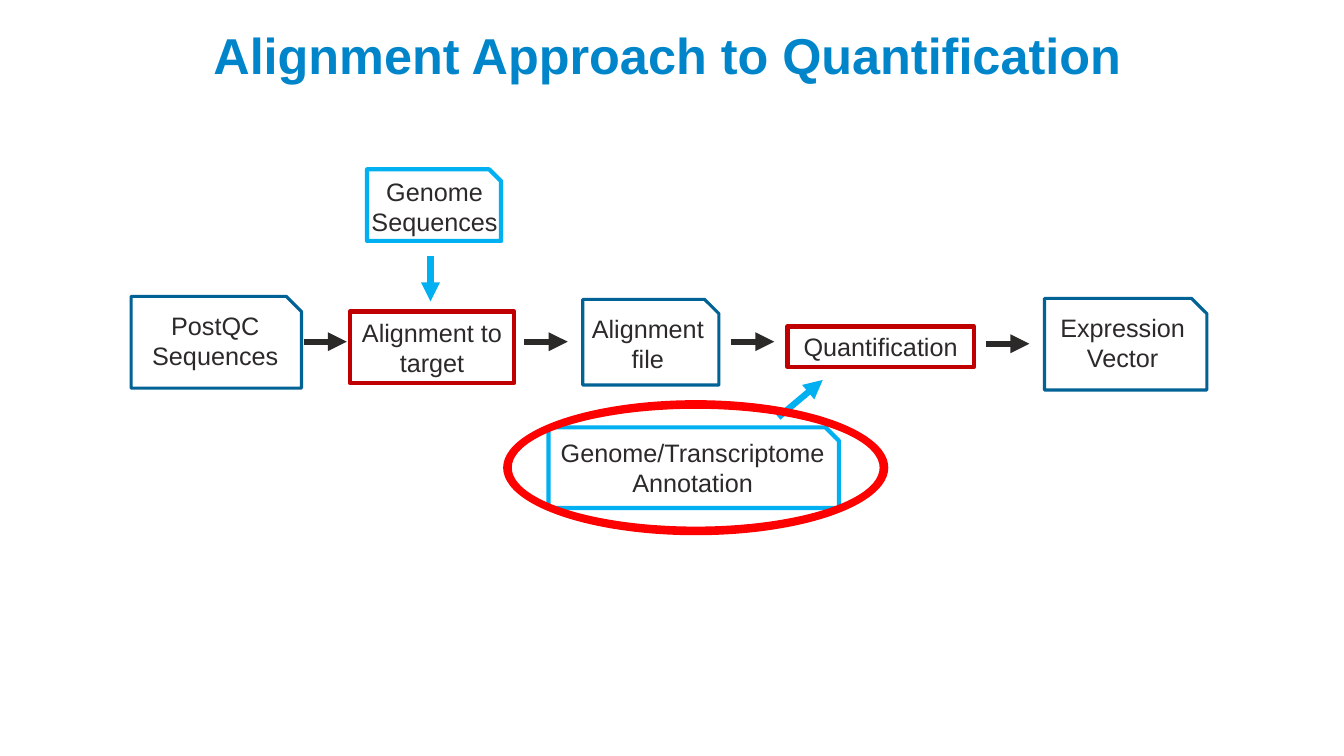
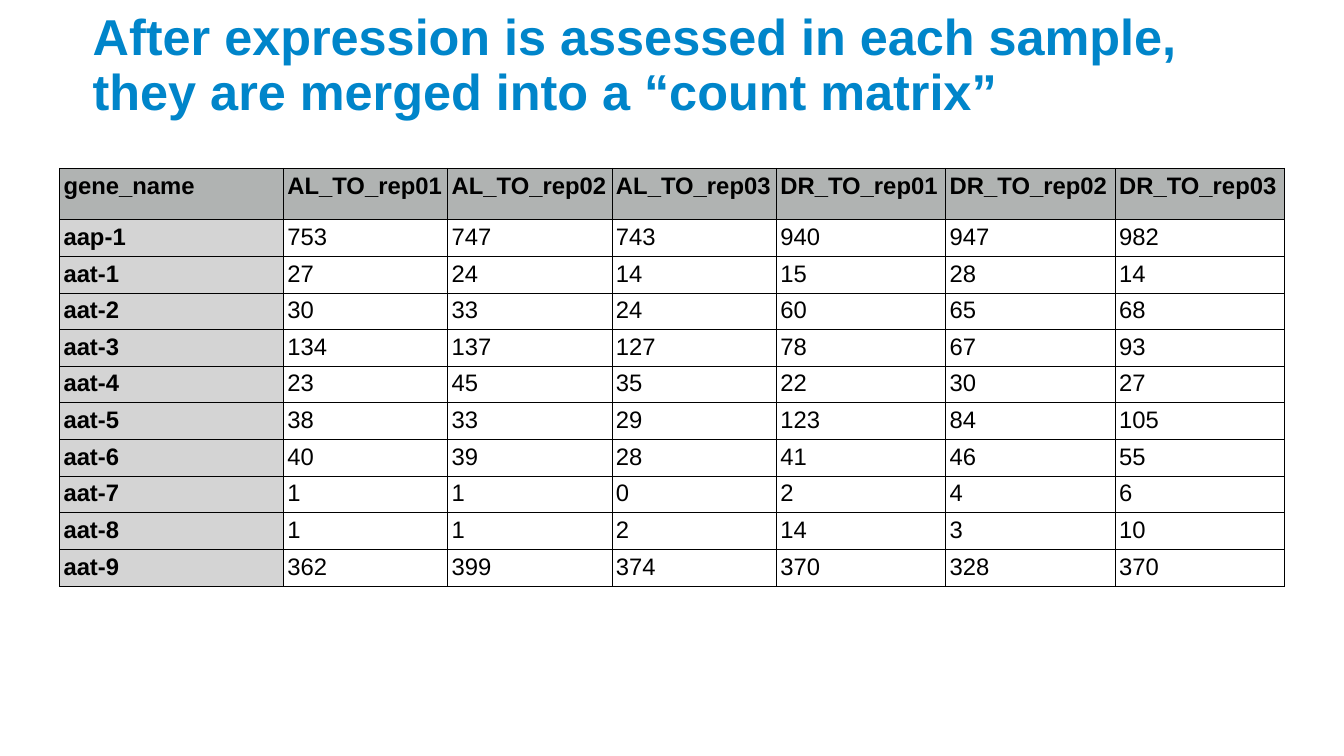
from lxml.etree import SubElement
from pptx import Presentation
from pptx.dml.color import RGBColor
from pptx.enum.shapes import MSO_CONNECTOR as CONNECTOR, MSO_SHAPE as SHAPE
from pptx.enum.text import MSO_ANCHOR as ANCHOR, PP_ALIGN as ALIGN
from pptx.oxml.ns import qn
from pptx.util import Inches, Pt

FONT = "Arial"
TITLE_BLUE = "0085CA"
DARK = "2C2A29"
NAVY = "006295"
SKY = "00B0F0"
CRIMSON = "C00000"
RED = "FF0000"
WHITE = "FFFFFF"
BLACK = "000000"
HEADER_GRAY = "B0B3B2"
GENE_GRAY = "D4D4D4"


def color(value):
    return RGBColor.from_string(value)


def write(frame, text, size=18, fill=DARK, bold=False, align=ALIGN.CENTER,
          anchor=ANCHOR.TOP, spacing=None):
    frame.word_wrap = True
    frame.vertical_anchor = anchor
    paragraph = frame.paragraphs[0]
    paragraph.alignment = align
    paragraph.line_spacing = spacing
    run = paragraph.add_run()
    run.text = text
    run.font.name = FONT
    run.font.size = Pt(size)
    run.font.bold = bold
    run.font.color.rgb = color(fill)


presentation = Presentation()
presentation.slide_width = Inches(13.33)
presentation.slide_height = Inches(7.5)

titles = [
    ("Alignment Approach to Quantification", 0.02, 0.87, ALIGN.CENTER, 1.0),
    ("After expression is assessed in each sample, they are merged into a “count matrix”",
     0, 1.25, ALIGN.LEFT, 0.9),
]
for text, top, height, align, spacing in titles:
    slide = presentation.slides.add_slide(presentation.slide_layouts[6])
    title = slide.shapes.add_textbox(Inches(0.92), Inches(top), Inches(11.5), Inches(height))
    title.text_frame.margin_left = 0
    write(title.text_frame, text, size=36, fill=TITLE_BLUE, bold=True,
          align=align, anchor=ANCHOR.BOTTOM, spacing=spacing)

workflow_slide, matrix_slide = presentation.slides

files = [
    ("PostQC Sequences", NAVY, 2.25, (1.3, 2.94, 1.69, 0.91), (1.26, 3.03, 1.75, 0.71)),
    ("Genome Sequences", SKY, 3, (3.64, 1.68, 1.33, 0.71), (3.58, 1.7, 1.46, 0.71)),
    ("Genome/Transcriptome Annotation", SKY, 3, (5.44, 4.24, 2.88, 0.8), (5.24, 4.29, 3.26, 0.71)),
    ("Alignment file", NAVY, 2.25, (5.78, 2.97, 1.35, 0.85), (5.75, 3.06, 1.35, 0.71)),
    ("Expression Vector", NAVY, 2.25, (10.36, 2.96, 1.61, 0.91), (10.33, 3.05, 1.61, 0.71)),
]
steps = [
    ("Alignment to target", (3.47, 3.09, 1.63, 0.71)),
    ("Quantification", (7.81, 3.24, 1.85, 0.4)),
]
arrows = [
    (DARK, 3.02, 3.39, 3.44, 3.39),
    (DARK, 5.2, 3.39, 5.63, 3.39),
    (DARK, 7.25, 3.39, 7.68, 3.39),
    (DARK, 9.78, 3.41, 10.21, 3.41),
    (SKY, 4.27, 2.54, 4.27, 2.99),
    (SKY, 7.72, 4.14, 8.16, 3.77),
]

for text, outline, weight, card_box, label_box in files:
    group = workflow_slide.shapes.add_group_shape()
    card = group.shapes.add_shape(SHAPE.SNIP_1_RECTANGLE, *map(Inches, card_box))
    card.shadow.inherit = False
    card.fill.solid()
    card.fill.fore_color.rgb = color(WHITE)
    card.line.color.rgb = color(outline)
    card.line.width = Pt(weight)
    label = group.shapes.add_textbox(*map(Inches, label_box))
    write(label.text_frame, text)

for text, box in steps:
    step = workflow_slide.shapes.add_shape(SHAPE.RECTANGLE, *map(Inches, box))
    step.shadow.inherit = False
    step.fill.solid()
    step.fill.fore_color.rgb = color(WHITE)
    step.line.color.rgb = color(CRIMSON)
    step.line.width = Pt(3)
    write(step.text_frame, text, anchor=ANCHOR.MIDDLE)

for stroke, *ends in arrows:
    arrow = workflow_slide.shapes.add_connector(CONNECTOR.STRAIGHT, *map(Inches, ends))
    arrow.line.color.rgb = color(stroke)
    arrow.line.width = Pt(4.5)
    SubElement(arrow.line._get_or_add_ln(), qn("a:tailEnd"), type="triangle")
    SubElement(arrow._element.spPr, qn("a:effectLst"))

highlight = workflow_slide.shapes.add_shape(
    SHAPE.DONUT, Inches(4.99), Inches(3.97), Inches(3.82), Inches(1.34))
highlight.adjustments[0] = 0.064
highlight.shadow.inherit = False
highlight.fill.solid()
highlight.fill.fore_color.rgb = color(RED)
highlight.line.fill.background()

samples = [f"{condition}_TO_rep0{number}" for condition in ("AL", "DR") for number in (1, 2, 3)]
counts = [
    ("aap-1", 753, 747, 743, 940, 947, 982),
    ("aat-1", 27, 24, 14, 15, 28, 14),
    ("aat-2", 30, 33, 24, 60, 65, 68),
    ("aat-3", 134, 137, 127, 78, 67, 93),
    ("aat-4", 23, 45, 35, 22, 30, 27),
    ("aat-5", 38, 33, 29, 123, 84, 105),
    ("aat-6", 40, 39, 28, 41, 46, 55),
    ("aat-7", 1, 1, 0, 2, 4, 6),
    ("aat-8", 1, 1, 2, 14, 3, 10),
    ("aat-9", 362, 399, 374, 370, 328, 370),
]
rows = [("gene_name", *samples), *counts]
widths = [2.22] + [1.63] * 3 + [1.68] * 3
heights = [0.51] + [0.32] * len(counts)

table = matrix_slide.shapes.add_table(
    len(rows), len(widths), Inches(0.59), Inches(1.67),
    Inches(sum(widths)), Inches(sum(heights))).table
table.horz_banding = False
for column, width in zip(table.columns, widths):
    column.width = Inches(width)
for row, height in zip(table.rows, heights):
    row.height = Inches(height)

for row_index, values in enumerate(rows):
    for column_index, value in enumerate(values):
        cell = table.cell(row_index, column_index)
        cell.margin_left = cell.margin_right = Inches(0.04)
        cell.margin_top = cell.margin_bottom = Inches(0.04)
        heading = row_index == 0 or column_index == 0
        write(cell.text_frame, str(value), size=17, fill=BLACK, bold=heading, align=ALIGN.LEFT)
        properties = cell._tc.get_or_add_tcPr()
        for side in ("lnL", "lnR", "lnT", "lnB"):
            border = SubElement(properties, qn(f"a:{side}"), w=str(Pt(0.75)))
            SubElement(SubElement(border, qn("a:solidFill")), qn("a:srgbClr"), val=BLACK)
        if heading:
            cell.fill.solid()
            cell.fill.fore_color.rgb = color(GENE_GRAY if row_index else HEADER_GRAY)
        else:
            cell.fill.background()

presentation.save("out.pptx")
